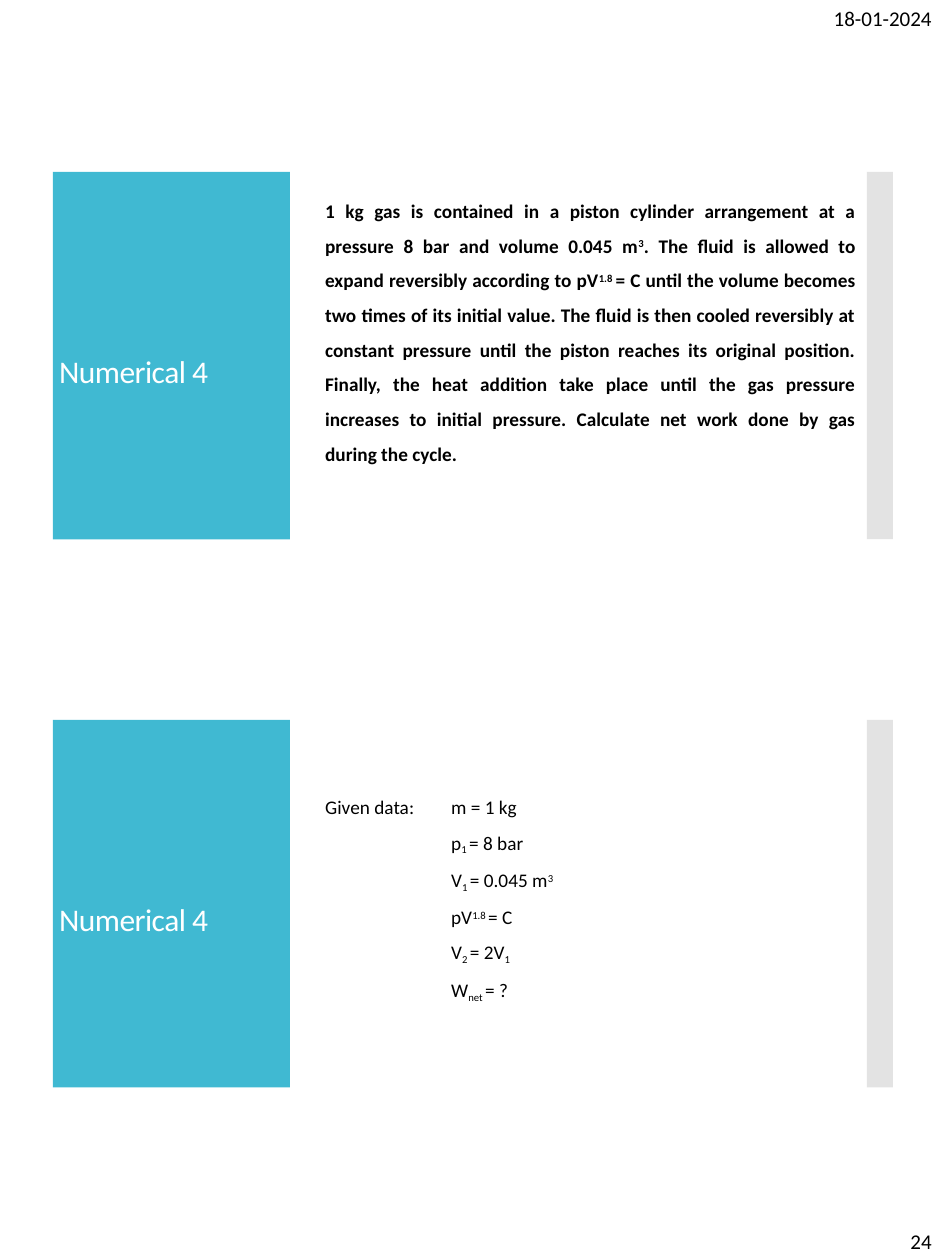
from pptx import Presentation
from pptx.dml.color import RGBColor
from pptx.enum.shapes import MSO_SHAPE as Shape
from pptx.enum.text import MSO_ANCHOR as Anchor, PP_ALIGN as Align
from pptx.util import Pt

TEAL = RGBColor(0x40, 0xB9, 0xD2)
LIGHT_GRAY = RGBColor(0xE3, 0xE3, 0xE3)
WHITE = RGBColor(0xFF, 0xFF, 0xFF)
BLACK = RGBColor(0, 0, 0)
FONT = "Calibri"
SUPERSCRIPT, SUBSCRIPT = 28000, -20000

PANEL_LEFT, PANEL_TOP, PANEL_PITCH = 30.2, 98.2, 313.2
PANEL_WIDTH, PANEL_HEIGHT = 480, 210
HEADING_WIDTH, BAR_WIDTH = 135.4, 14.8

PROBLEM = [
    ("1 kg gas is contained in a piston cylinder arrangement at a pressure 8 bar "
     "and volume 0.045 m",),
    ("3", SUPERSCRIPT),
    (". The fluid is allowed to expand reversibly according to pV",),
    ("1.8 ", SUPERSCRIPT),
    ("= C until the volume becomes two times of its initial value. The fluid is then "
     "cooled reversibly at constant pressure until the piston reaches its original "
     "position. Finally, the heat addition take place until the gas pressure increases "
     "to initial pressure. Calculate net work done by gas during the cycle.",),
]
GIVEN_DATA = [
    [("m = 1 kg",)],
    [("p",), ("1 ", SUBSCRIPT), ("= 8 bar",)],
    [("V",), ("1 ", SUBSCRIPT), ("= 0.045 m",), ("3", SUPERSCRIPT)],
    [("pV",), ("1.8 ", SUPERSCRIPT), ("= C",)],
    [("V",), ("2 ", SUBSCRIPT), ("= 2V",), ("1", SUBSCRIPT)],
    [("W",), ("net ", SUBSCRIPT), ("= ?",)],
]


def set_font(font, size, color=BLACK, bold=False):
    font.name, font.size, font.bold = FONT, Pt(size), bold
    font.color.rgb = color


def set_margins(text_frame, left=0, top=0):
    text_frame.margin_left, text_frame.margin_top = Pt(left), Pt(top)
    text_frame.margin_right = text_frame.margin_bottom = 0


def add_text(slide, box, lines, size=11, bold=False, align=Align.LEFT, spacing=1.0):
    """Add a text box; each line is a list of (text, optional baseline shift)."""
    text_frame = slide.shapes.add_textbox(*map(Pt, box)).text_frame
    text_frame.word_wrap = True
    set_margins(text_frame)
    for index, parts in enumerate(lines):
        paragraph = text_frame.add_paragraph() if index else text_frame.paragraphs[0]
        paragraph.alignment, paragraph.line_spacing = align, spacing
        for text, *baseline in parts:
            run = paragraph.add_run()
            run.text = text
            set_font(run.font, 10.5 if baseline else size, bold=bold)
            if baseline:
                run.font._element.set("baseline", str(baseline[0]))


def add_rectangle(slide, box, color):
    shape = slide.shapes.add_shape(Shape.RECTANGLE, *map(Pt, box))
    shape.shadow.inherit = False
    shape.fill.solid()
    shape.fill.fore_color.rgb = color
    shape.line.fill.background()
    return shape


def format_heading(shape, text):
    text_frame = shape.text_frame
    text_frame.text = text
    text_frame.word_wrap = True
    text_frame.vertical_anchor = Anchor.MIDDLE
    set_margins(text_frame, left=3.6, top=17)
    paragraph = text_frame.paragraphs[0]
    paragraph.alignment, paragraph.line_spacing = Align.LEFT, 1.0
    run = paragraph.runs[0]
    set_font(run.font, 18, WHITE)
    run.font._element.set("spc", "-30")


def add_panel(slide, left, top, heading, title=None):
    """Draw the heading block and side bar; the title placeholder may be the heading."""
    heading_box = (left, top, HEADING_WIDTH, PANEL_HEIGHT)
    if title is None:
        title = add_rectangle(slide, heading_box, TEAL)
    else:
        title.left, title.top, title.width, title.height = map(Pt, heading_box)
        title.fill.solid()
        title.fill.fore_color.rgb = TEAL
    format_heading(title, heading)
    bar_left = left + PANEL_WIDTH - BAR_WIDTH
    add_rectangle(slide, (bar_left, top, BAR_WIDTH, PANEL_HEIGHT), LIGHT_GRAY)


def add_problem(slide, left, top):
    add_panel(slide, left, top, "Numerical 4", slide.shapes.title)
    add_text(slide, (left + 155.6, top + 9, 303.2, 160), [PROBLEM],
             bold=True, align=Align.JUSTIFY, spacing=1.5)


def add_given_data(slide, left, top):
    add_panel(slide, left, top, "Numerical 4")
    add_text(slide, (left + 155.6, top + 43, 60, 15), [[("Given data:",)]])
    add_text(slide, (left + 227.6, top + 36.5, 100, 124), GIVEN_DATA, spacing=1.5)


def add_page_marks(slide, right):
    add_text(slide, (right - 90, 3, 90, 16), [[("18-01-2024",)]], 12, align=Align.RIGHT)
    add_text(slide, (right - 30, 702, 30, 16), [[("24",)]], 12, align=Align.RIGHT)


def main():
    presentation = Presentation()
    presentation.slide_width, presentation.slide_height = Pt(540), Pt(720)
    slide = presentation.slides.add_slide(presentation.slide_layouts[5])
    add_problem(slide, PANEL_LEFT, PANEL_TOP)
    add_given_data(slide, PANEL_LEFT, PANEL_TOP + PANEL_PITCH)
    add_page_marks(slide, 532.4)
    presentation.save("out.pptx")


if __name__ == "__main__":
    main()
